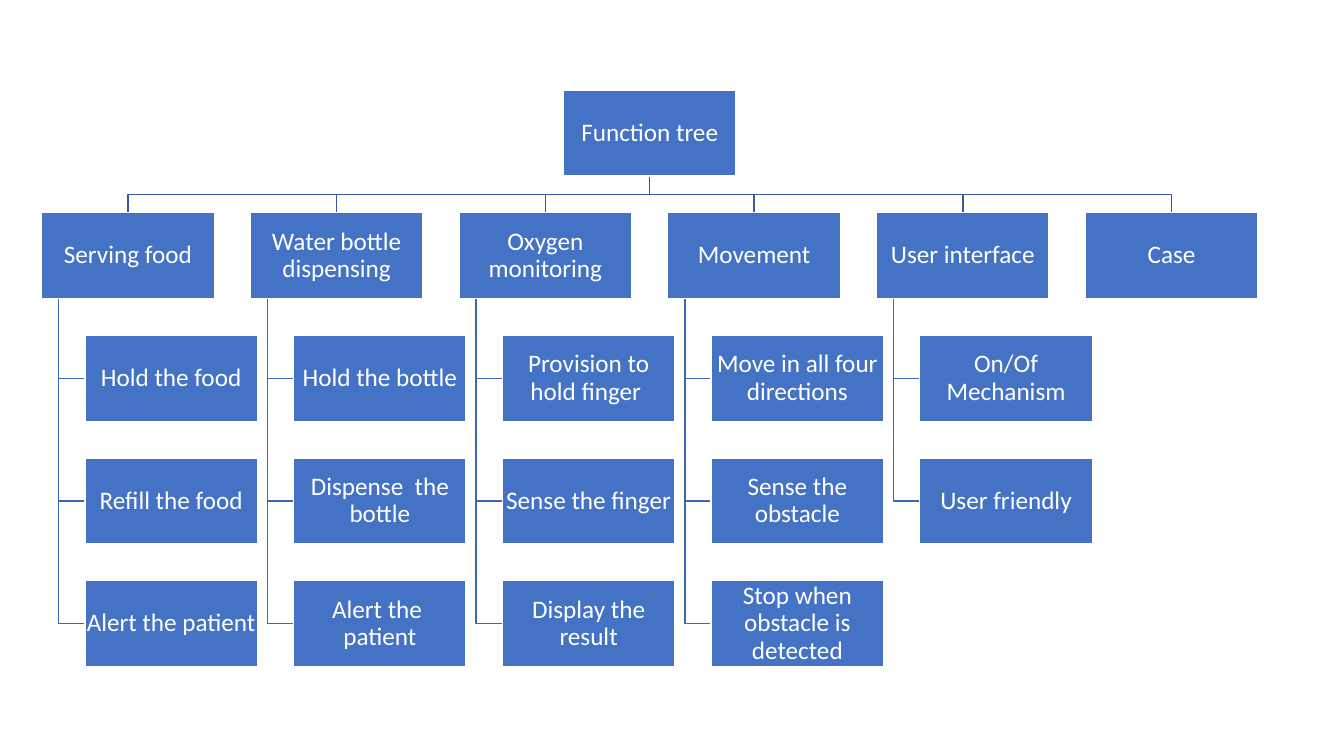
from dataclasses import dataclass

from pptx import Presentation
from pptx.dml.color import RGBColor
from pptx.enum.shapes import MSO_SHAPE
from pptx.enum.text import MSO_ANCHOR, PP_ALIGN
from pptx.shapes.shapetree import SlideShapes
from pptx.util import Cm, Pt

RECTANGLE = MSO_SHAPE.RECTANGLE
MIDDLE = MSO_ANCHOR.MIDDLE
CENTER = PP_ALIGN.CENTER


@dataclass(frozen=True)
class Theme:
    box_fill: RGBColor = RGBColor(0x44, 0x72, 0xC4)
    white: RGBColor = RGBColor(0xFF, 0xFF, 0xFF)
    main_line: RGBColor = RGBColor(0x36, 0x5B, 0x9D)
    branch_line: RGBColor = RGBColor(0x3E, 0x67, 0xB2)
    font: str = "Calibri"
    text_size: Pt = Pt(18)
    line_width: Pt = Pt(1)


@dataclass(frozen=True)
class Branch:
    function: str
    tasks: tuple[str, ...] = ()


@dataclass(frozen=True)
class Box:
    """A labelled box, placed in centimetres."""
    label: str
    left: float
    top: float

    @property
    def center(self) -> float:
        return self.left + BOX_WIDTH / 2

    @property
    def middle(self) -> float:
        return self.top + BOX_HEIGHT / 2

    @property
    def bottom(self) -> float:
        return self.top + BOX_HEIGHT


THEME = Theme()
BOX_WIDTH, BOX_HEIGHT = 4.35, 2.17
TREE_LEFT, TREE_TOP = 1.05, 2.27
COLUMN_STEP, ROW_STEP = 5.26, 3.09
TASK_INDENT, TRUNK_INDENT = 1.09, 0.43
INSET = Cm(0.03)

ROOT_LABEL = "Function tree"
BRANCHES = (
    Branch("Serving food", ("Hold the food", "Refill the food", "Alert the patient ")),
    Branch("Water bottle dispensing",
           ("Hold the bottle", "Dispense  the bottle", "Alert the  patient")),
    Branch("Oxygen monitoring",
           ("Provision to hold finger ", "Sense the finger", "Display the result")),
    Branch("Movement", ("Move in all four directions", "Sense the obstacle",
                        "Stop when obstacle is detected")),
    Branch("User interface", ("On/Of Mechanism", "User friendly")),
    Branch("Case"),
)


def draw_path(shapes: SlideShapes, points: list[tuple[float, float]],
              color: RGBColor) -> None:
    """Draw an open, unfilled line through points given in centimetres."""
    start, *rest = [(Cm(x), Cm(y)) for x, y in points]
    builder = shapes.build_freeform(*start)
    builder.add_line_segments(rest, close=False)
    path = builder.convert_to_shape()
    path.shadow.inherit = False
    path.fill.background()
    path.line.color.rgb = color
    path.line.width = THEME.line_width


def link_function(shapes: SlideShapes, root: Box, function: Box) -> None:
    halfway = (root.bottom + function.top) / 2
    draw_path(shapes, [(root.center, root.bottom), (root.center, halfway),
                       (function.center, halfway), (function.center, function.top)],
              THEME.main_line)


def link_task(shapes: SlideShapes, function: Box, task: Box) -> None:
    trunk = function.left + TRUNK_INDENT
    draw_path(shapes, [(trunk, function.bottom), (trunk, task.middle),
                       (task.left, task.middle)], THEME.branch_line)


def draw_box(shapes: SlideShapes, box: Box) -> None:
    shape = shapes.add_shape(RECTANGLE, Cm(box.left), Cm(box.top),
                             Cm(BOX_WIDTH), Cm(BOX_HEIGHT))
    shape.shadow.inherit = False
    shape.fill.solid()
    shape.fill.fore_color.rgb = THEME.box_fill
    shape.line.color.rgb = THEME.white
    shape.line.width = THEME.line_width

    frame = shape.text_frame
    frame.text = box.label
    frame.word_wrap = True
    frame.vertical_anchor = MIDDLE
    frame.margin_left = frame.margin_right = INSET
    frame.margin_top = frame.margin_bottom = INSET
    para = frame.paragraphs[0]
    para.alignment = CENTER
    para.line_spacing = 0.9
    font = para.runs[0].font
    font.name = THEME.font
    font.size = THEME.text_size
    font.color.rgb = THEME.white


def draw_tree(shapes: SlideShapes) -> None:
    root_left = TREE_LEFT + COLUMN_STEP * (len(BRANCHES) - 1) / 2
    root = Box(ROOT_LABEL, root_left, TREE_TOP)
    boxes = [root]
    for column, branch in enumerate(BRANCHES):
        function = Box(branch.function, TREE_LEFT + column * COLUMN_STEP,
                       TREE_TOP + ROW_STEP)
        link_function(shapes, root, function)
        boxes.append(function)
        for row, label in enumerate(branch.tasks, start=1):
            task = Box(label, function.left + TASK_INDENT,
                       function.top + row * ROW_STEP)
            link_task(shapes, function, task)
            boxes.append(task)
    for box in boxes:
        draw_box(shapes, box)


def main() -> None:
    deck = Presentation()
    deck.slide_width, deck.slide_height = Cm(33.87), Cm(19.05)
    page = deck.slides.add_slide(deck.slide_layouts[6])
    draw_tree(page.shapes)
    deck.save("out.pptx")


if __name__ == "__main__":
    main()
